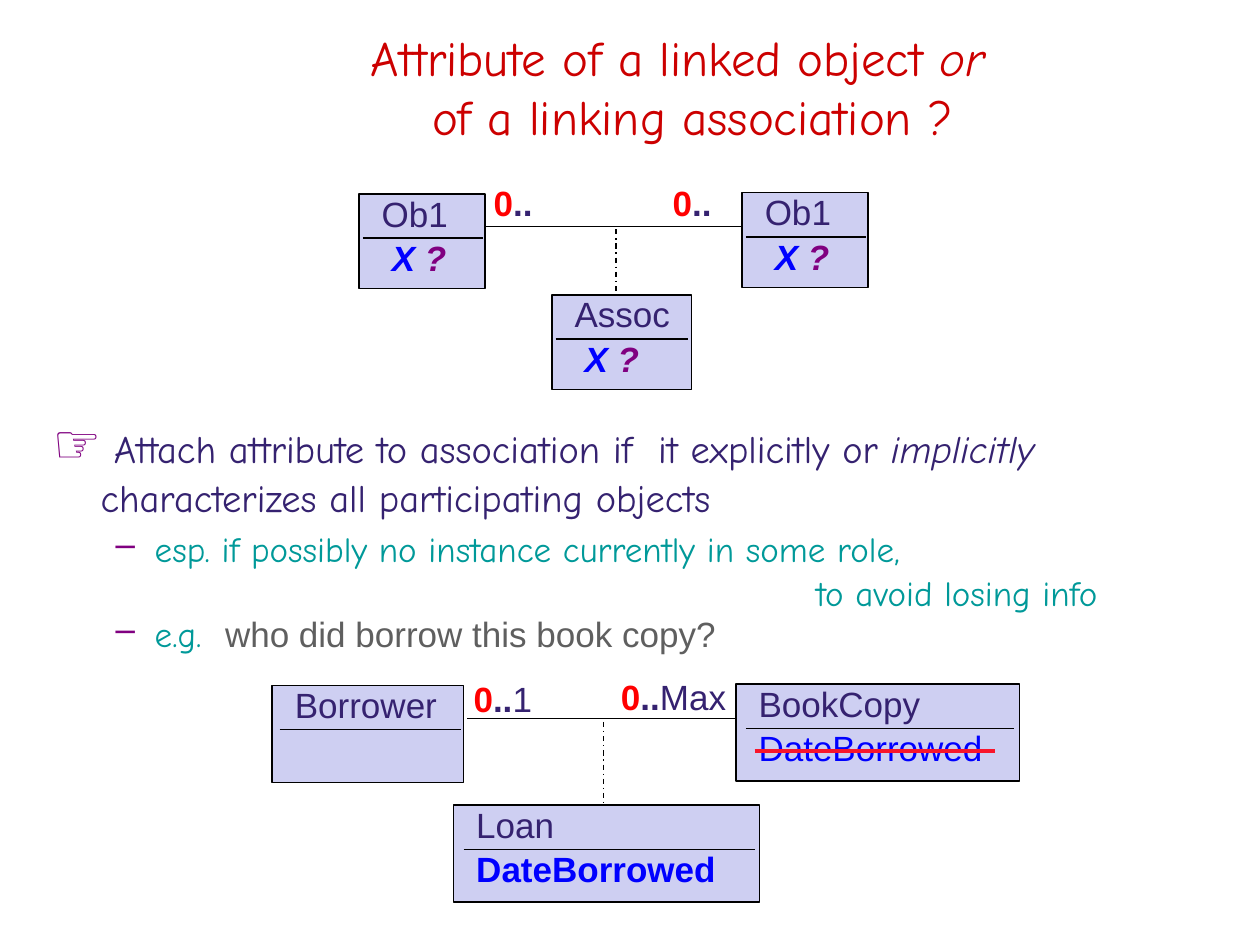
from lxml import etree
from pptx import Presentation
from pptx.dml.color import RGBColor
from pptx.enum.dml import MSO_LINE
from pptx.enum.shapes import MSO_CONNECTOR, MSO_SHAPE
from pptx.enum.text import MSO_ANCHOR, PP_ALIGN
from pptx.oxml.ns import qn
from pptx.util import Inches, Pt

DASH_DOT = MSO_LINE.DASH_DOT
STRAIGHT = MSO_CONNECTOR.STRAIGHT
RECTANGLE = MSO_SHAPE.RECTANGLE
TOP, MIDDLE = MSO_ANCHOR.TOP, MSO_ANCHOR.MIDDLE
LEFT, CENTER = PP_ALIGN.LEFT, PP_ALIGN.CENTER

BLACK = RGBColor(0x00, 0x00, 0x00)
TITLE_RED = RGBColor(0xCC, 0x00, 0x00)
RED = RGBColor(0xFF, 0x00, 0x00)
STRIKE_RED = RGBColor(0xF9, 0x15, 0x2B)
INDIGO = RGBColor(0x35, 0x22, 0x70)
PURPLE = RGBColor(0x80, 0x00, 0x80)
BLUE = RGBColor(0x00, 0x00, 0xFF)
TEAL = RGBColor(0x00, 0x99, 0x99)
GRAY = RGBColor(0x5F, 0x5F, 0x5F)
LAVENDER = RGBColor(0xCE, 0xCF, 0xF2)
HAND, SANS = "Comic Neue", "Arial"

# Runs are (text, size, font, colour, style); style holds "b" and/or "i"
TITLE = [
    # (runs, left margin, right margin)
    ([("Attribute of a linked object ", 28, HAND, TITLE_RED, ""),
      ("or", 28, HAND, TITLE_RED, "i")], 0, 0.11),
    ([("of a linking association ?", 28, HAND, TITLE_RED, "")], 0.23, 0),
]
BODY = [
    # (runs, left margin, indent, bullet, line spacing, space before)
    ([("☞", 31, SANS, PURPLE, "b"),
      (" Attach attribute to association if  it explicitly or", 22, HAND, INDIGO, ""),
      (" implicitly", 22, HAND, INDIGO, "i"),
      (" characterizes all participating objects", 22, HAND, INDIGO, "")],
     0.38, -0.38, None, 1, 0),
    ([("esp. if possibly no instance currently in some role,", 20, HAND, TEAL, "")],
     0.81, -0.31, "–", 1, 4),
    ([("to avoid losing info", 20, HAND, TEAL, "")], 6.06, 0, None, 0.9, 4),
    ([("e.g.  ", 20, HAND, TEAL, ""),
      ("who did borrow this book copy?", 20, SANS, GRAY, "")],
     0.81, -0.31, "–", 0.8, 4),
]
UNSURE = [("X\u00a0", 20, SANS, BLUE, "bi"), ("?", 20, SANS, PURPLE, "bi")]
CLASSES = [
    # (name, attribute runs, attribute indent, box, divider left and right)
    ("Ob1", UNSURE, 0.08, (2.85, 1.54, 1, 0.75), (2.88, 3.83)),
    ("Ob1", UNSURE, 0.08, (5.89, 1.53, 1, 0.75), (5.92, 6.87)),
    ("Assoc", UNSURE, 0.08, (4.38, 2.34, 1.11, 0.75), (4.41, 5.46)),
    ("Borrower", [], 0, (2.16, 5.44, 1.52, 0.77), (2.22, 3.66)),
    ("BookCopy", [("DateBorrowed", 20, SANS, BLUE, "")], 0,
     (5.84, 5.43, 2.25, 0.77), (5.92, 8.05)),
    ("Loan", [("DateBorrowed", 20, SANS, BLUE, "b")], 0,
     (3.6, 6.39, 2.43, 0.77), (3.68, 5.99)),
]
DIVIDER_DROP = 0.35
MULTIPLICITIES = [
    # (upper bound, box)
    ("", (3.82, 1.46, 0.77, 0.43)),
    ("", (5.24, 1.46, 0.77, 0.43)),
    ("1", (3.66, 5.39, 0.82, 0.44)),
    ("Max", (4.83, 5.38, 1.1, 0.44)),
]
ASSOCIATIONS = [
    # (left, right, y, link x, link top, link bottom)
    (3.85, 5.9, 1.8, 4.89, 1.82, 2.34),
    (3.71, 5.83, 5.7, 4.79, 5.73, 6.39),
]
STRIKE = (5.99, 5.96, 7.9, 5.96)


def add_line(slide, ends, color=BLACK, width=0.75, dash=None):
    connector = slide.shapes.add_connector(STRAIGHT, *map(Inches, ends))
    connector.line.color.rgb = color
    connector.line.width = Pt(width)
    if dash is not None:
        connector.line.dash_style = dash
    etree.SubElement(connector._element.spPr, qn("a:effectLst"))


def add_text_box(slide, box, anchor=TOP):
    frame = slide.shapes.add_textbox(*map(Inches, box)).text_frame
    frame.word_wrap = True
    frame.vertical_anchor = anchor
    return frame


def add_paragraph(frame, runs, margin=0, indent=0, right=0, bullet=None,
                  align=LEFT, spacing=1, before=0):
    first = frame.paragraphs[0]
    paragraph = frame.add_paragraph() if first.runs else first
    properties = paragraph._p.get_or_add_pPr()
    for name, value in (("marL", margin), ("marR", right), ("indent", indent)):
        if value:
            properties.set(name, str(Inches(value)))
    paragraph.alignment = align
    paragraph.line_spacing = spacing
    if before:
        paragraph.space_before = Pt(before)
    if bullet:
        color = etree.SubElement(properties, qn("a:buClr"))
        etree.SubElement(color, qn("a:srgbClr")).set("val", str(PURPLE))
        etree.SubElement(properties, qn("a:buChar")).set("char", bullet)
    for text, size, font, color, style in runs:
        run = paragraph.add_run()
        run.text = text
        run.font.size = Pt(size)
        run.font.name = font
        run.font.color.rgb = color
        run.font.bold = "b" in style
        run.font.italic = "i" in style


def add_class(slide, name, attribute, indent, box, divider):
    shape = slide.shapes.add_shape(RECTANGLE, *map(Inches, box))
    shape.shadow.inherit = False
    shape.fill.solid()
    shape.fill.fore_color.rgb = LAVENDER
    shape.line.color.rgb = BLACK
    shape.line.width = Pt(0.75)
    frame = shape.text_frame
    frame.vertical_anchor = TOP
    frame.margin_left = Inches(0.18)
    frame.margin_right = 0
    add_paragraph(frame, [(name, 20, SANS, INDIGO, "")], spacing=0.8)
    if attribute:
        add_paragraph(frame, attribute, margin=indent, spacing=0.8, before=6)
    y = box[1] + DIVIDER_DROP
    add_line(slide, (divider[0], y, divider[1], y))


def main():
    presentation = Presentation()
    presentation.slide_width, presentation.slide_height = Inches(10), Inches(7.5)
    slide = presentation.slides.add_slide(presentation.slide_layouts[6])

    # Title and body text
    frame = add_text_box(slide, (1.24, 0.27, 8.39, 0.83), MIDDLE)
    for runs, margin, right in TITLE:
        add_paragraph(frame, runs, margin, right=right, align=CENTER)
    frame = add_text_box(slide, (0.32, 3.28, 9.56, 1.88), MIDDLE)
    for runs, margin, indent, bullet, spacing, before in BODY:
        add_paragraph(frame, runs, margin, indent, bullet=bullet,
                      spacing=spacing, before=before)

    # Class diagrams
    for left, right, y, link_x, link_top, link_bottom in ASSOCIATIONS:
        add_line(slide, (left, y, right, y))
        add_line(slide, (link_x, link_top, link_x, link_bottom), dash=DASH_DOT)
    for entry in CLASSES:
        add_class(slide, *entry)
    for upper, box in MULTIPLICITIES:
        runs = [("0", 20, SANS, RED, "b"), ("..", 20, SANS, INDIGO, "b")]
        if upper:
            runs.append((upper, 20, SANS, INDIGO, ""))
        add_paragraph(add_text_box(slide, box), runs, spacing=0.8)

    # Attribute struck out of the book copy
    add_line(slide, STRIKE, STRIKE_RED, 2.25)

    presentation.save("out.pptx")


if __name__ == "__main__":
    main()
